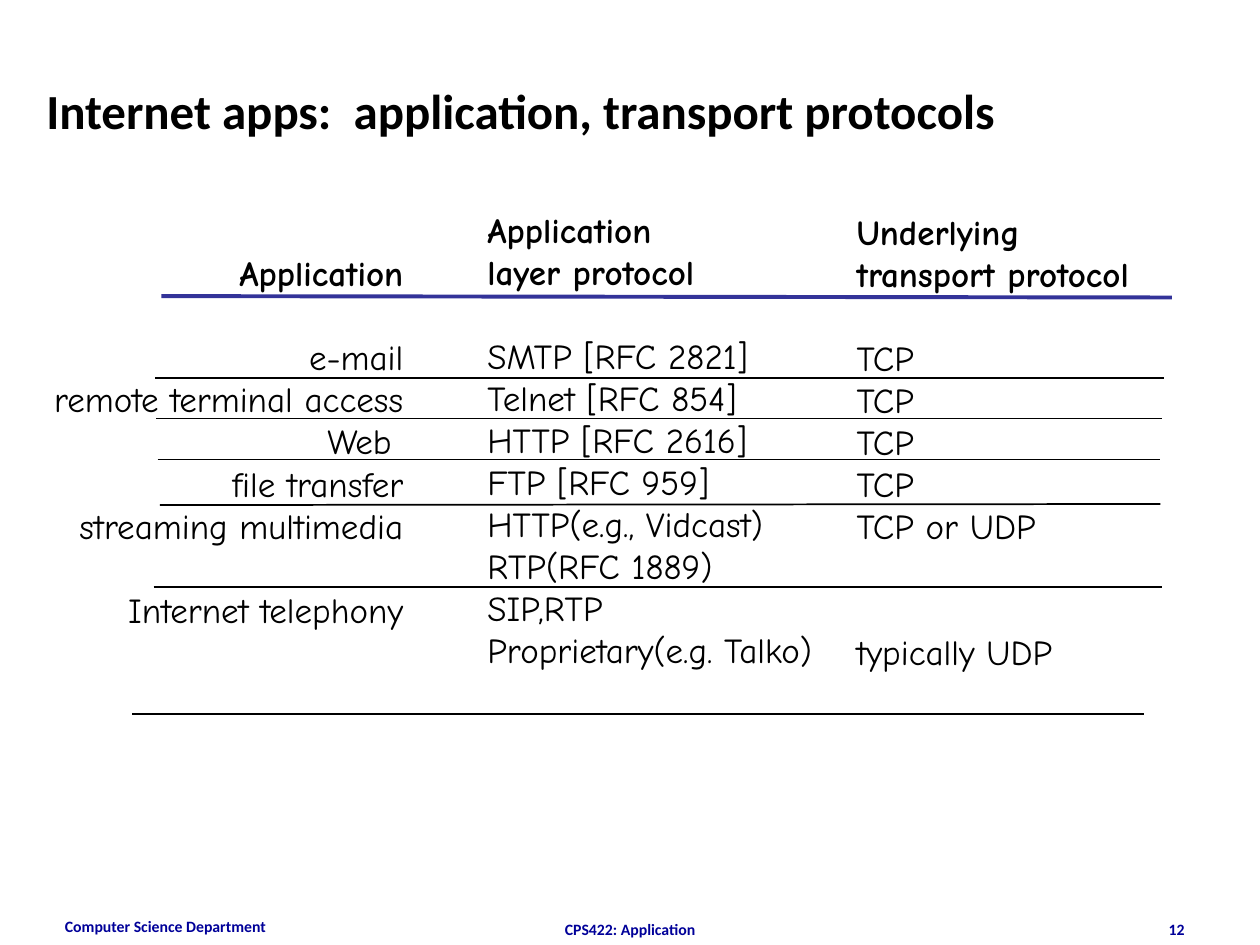
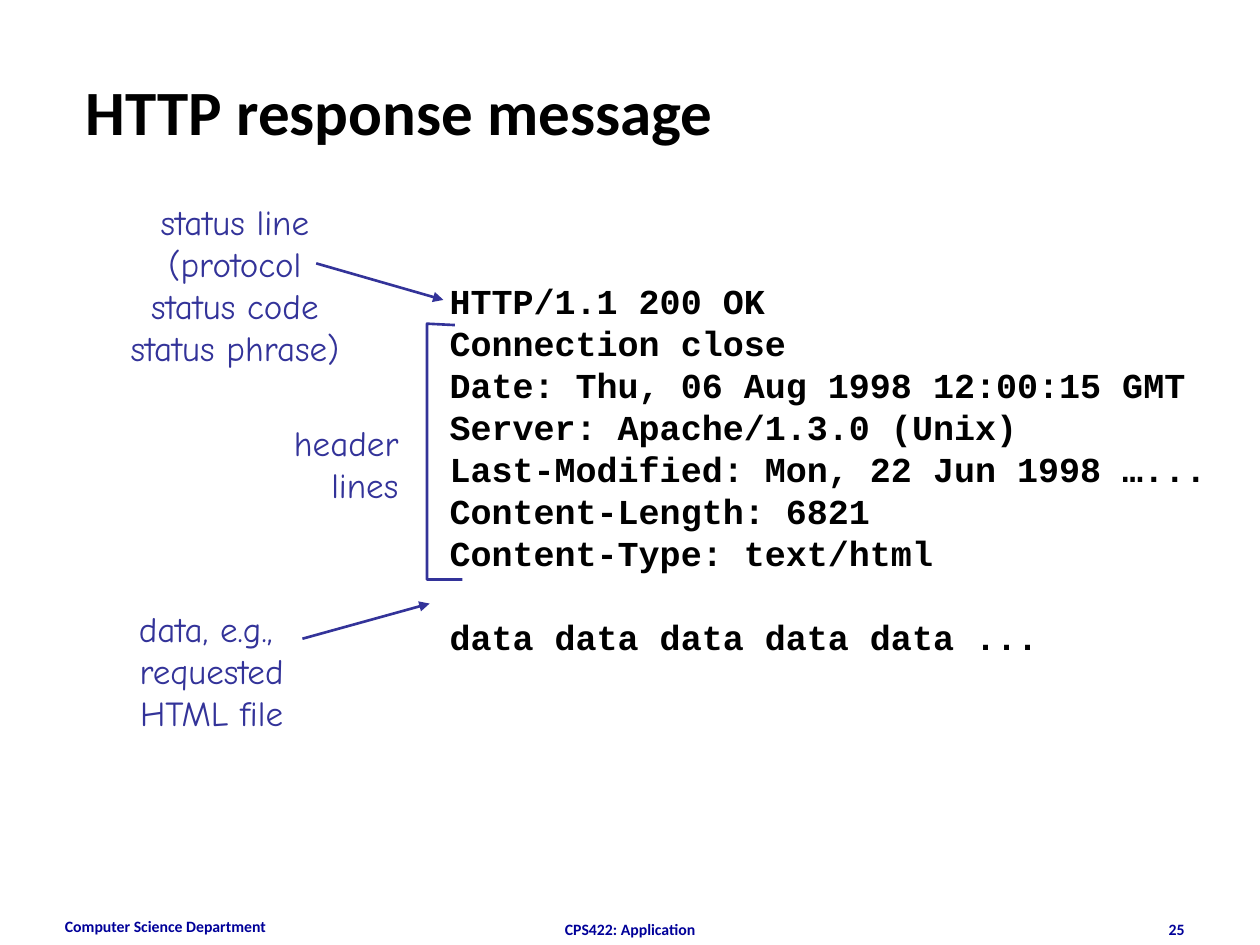
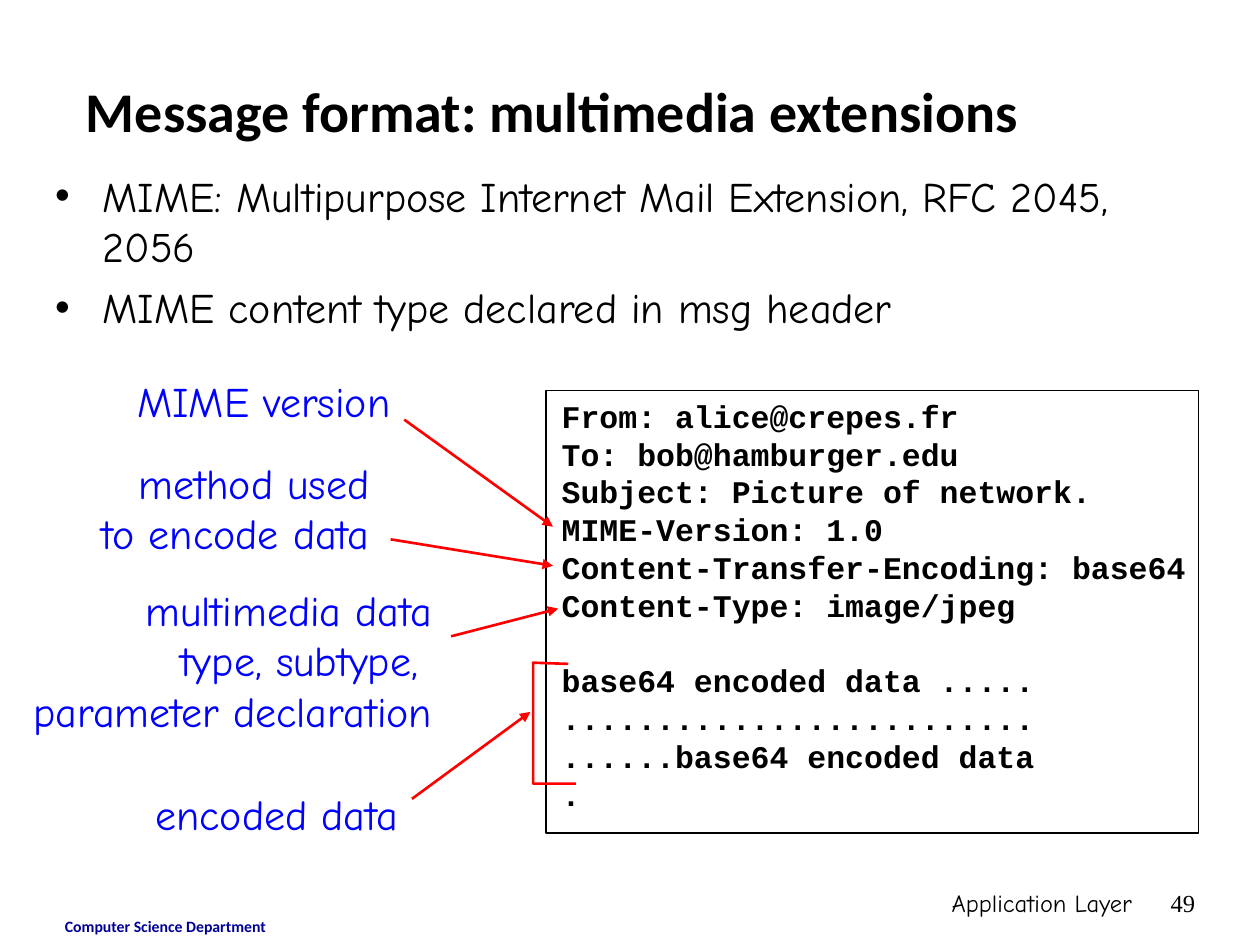
from dataclasses import dataclass, field
from typing import NamedTuple

from lxml import etree
from pptx import Presentation
from pptx import util as u
from pptx.dml import color
from pptx.enum import shapes, text
from pptx.oxml import ns

BLACK, NAVY, INDIGO, BLUE, RED = "000000", "000099", "333399", "0000FF", "FF0000"
SANS, COMIC, MONO, SERIF = "Calibri", "Comic Neue", "Courier New", "Times New Roman"
LEFT, CENTER, RIGHT = text.PP_ALIGN.LEFT, text.PP_ALIGN.CENTER, text.PP_ALIGN.RIGHT


class Style(NamedTuple):
    font: str
    size: float
    color: str = BLACK
    bold: bool = False


FOOTER = Style(SANS, 9, NAVY, True)
COLUMN = Style(COMIC, 20)
NOTE = Style(COMIC, 20, INDIGO)
CALLOUT = Style(COMIC, 24, BLUE)
BODY = Style(COMIC, 24)


@dataclass
class Block:
    left: float
    top: float
    width: float
    height: float
    lines: list[str]
    style: Style
    align: text.PP_ALIGN = LEFT
    headings: int = 0
    gaps: dict[int, float] = field(default_factory=dict)
    pitch: float | None = None
    wrap: bool = True
    middle: bool = False
    bullets: bool = False


class Rule(NamedTuple):
    x1: float
    y1: float
    x2: float
    y2: float
    color: str = BLACK
    weight: float = 1
    arrow: bool = False


def rgb(code: str) -> color.RGBColor:
    return color.RGBColor.from_string(code)


def apply(target: object, values: dict[str, object]) -> None:
    for name, value in values.items():
        setattr(target, name, value)


def add_bullet(paragraph) -> None:
    properties = paragraph._p.get_or_add_pPr()
    indent = u.Pt(27)
    properties.set("marL", str(indent))
    properties.set("indent", str(-indent))
    bullet_font = etree.SubElement(properties, ns.qn("a:buFont"))
    bullet_font.set("typeface", "Arial")
    bullet = etree.SubElement(properties, ns.qn("a:buChar"))
    bullet.set("char", "•")


def draw_block(slide, block: Block) -> None:
    box = slide.shapes.add_textbox(
        *(u.Pt(v) for v in (block.left, block.top, block.width, block.height))
    )
    frame = box.text_frame
    apply(frame, {
        "word_wrap": block.wrap,
        "vertical_anchor": text.MSO_ANCHOR.MIDDLE if block.middle else text.MSO_ANCHOR.TOP,
    })
    for index, line in enumerate(block.lines):
        paragraph = frame.paragraphs[0] if index == 0 else frame.add_paragraph()
        paragraph.alignment = block.align
        if index in block.gaps:
            paragraph.space_before = u.Pt(block.gaps[index])
        if block.pitch:
            paragraph.line_spacing = u.Pt(block.pitch)
        if block.bullets:
            add_bullet(paragraph)
        run = paragraph.add_run()
        run.text = line
        apply(run.font, {
            "name": block.style.font,
            "size": u.Pt(block.style.size),
            "bold": block.style.bold or index < block.headings,
        })
        run.font.color.rgb = rgb(block.style.color)


def style_line(line, code: str, weight: float) -> None:
    line.color.rgb = rgb(code)
    line.width = u.Pt(weight)


def draw_rule(slide, rule: Rule) -> None:
    connector = slide.shapes.add_connector(
        shapes.MSO_CONNECTOR.STRAIGHT, *(u.Pt(v) for v in rule[:4])
    )
    style_line(connector.line, rule.color, rule.weight)
    if rule.arrow:
        tail = etree.SubElement(connector.line._get_or_add_ln(), ns.qn("a:tailEnd"))
        tail.set("type", "triangle")
    etree.SubElement(connector._element.spPr, ns.qn("a:effectLst"))


def draw_bracket(slide, points: list[tuple[float, float]], code: str) -> None:
    start, *rest = [(u.Pt(x), u.Pt(y)) for x, y in points]
    builder = slide.shapes.build_freeform(*start)
    builder.add_line_segments(rest, close=False)
    bracket = builder.convert_to_shape()
    bracket.shadow.inherit = False
    bracket.fill.background()
    style_line(bracket.line, code, 1.5)


def start_slide(deck, title: str, size: float, left: float, width: float):
    slide = deck.slides.add_slide(deck.slide_layouts[6])
    draw_block(slide, Block(30, 520.5, 168, 19.5, ["Computer Science Department"], FOOTER))
    draw_block(slide, Block(left, 18, width, 90, [title],
                            Style(SANS, size, BLACK, True), middle=True))
    return slide


def add_course_footer(slide, number: int) -> None:
    draw_block(slide, Block(246, 522, 228, 7.2, ["CPS422: Application"], FOOTER, CENTER))
    draw_block(slide, Block(516, 522, 168, 7.2, [str(number)], FOOTER, RIGHT))


def build_protocols(deck) -> None:
    slide = start_slide(deck, "Internet apps:  application, transport protocols", 28, 19.4, 689)
    add_course_footer(slide, 12)
    row = 24
    columns = [
        Block(22.3, 140.4, 215.3, 248,
              ["Application", "e-mail", "remote terminal access", "Web ", "file transfer",
               "streaming multimedia", "Internet telephony"],
              COLUMN, RIGHT, 1, {1: row, 6: row}),
        Block(271.4, 115.5, 214, 271,
              ["Application", "layer protocol", "SMTP [RFC 2821]", "Telnet [RFC 854]",
               "HTTP [RFC 2616]", "FTP [RFC 959]", "HTTP(e.g., Vidcast)", "RTP(RFC 1889)",
               "SIP,RTP", "Proprietary(e.g. Talko)"],
              COLUMN, headings=2, gaps={2: row}),
        Block(482.4, 116.6, 206.6, 271,
              ["Underlying", "transport protocol", "TCP", "TCP", "TCP", "TCP",
               "TCP or UDP", "typically UDP"],
              COLUMN, headings=2, gaps={2: row, 7: 2 * row}),
    ]
    for column in columns:
        draw_block(slide, column)
    rules = [
        Rule(92.2, 169.2, 669.6, 170, INDIGO, 2.25),
        Rule(88.6, 216, 665.3, 216),
        Rule(89.3, 239.2, 663.8, 239.2),
        Rule(90, 262.6, 663.1, 262.6),
        Rule(91.4, 288.6, 663.1, 288),
        Rule(87.8, 335.4, 663.8, 335.4),
        Rule(75.6, 408.1, 653.8, 408.1),
    ]
    for rule in rules:
        draw_rule(slide, rule)


def build_response(deck) -> None:
    slide = start_slide(deck, "HTTP response message", 36, 42, 612)
    add_course_footer(slide, 25)
    draw_block(slide, Block(
        249.8, 156.2, 459.4, 223,
        ["HTTP/1.1 200 OK", "Connection close", "Date: Thu, 06 Aug 1998 12:00:15 GMT",
         "Server: Apache/1.3.0 (Unix)", "Last-Modified: Mon, 22 Jun 1998 …...",
         "Content-Length: 6821", "Content-Type: text/html", "data data data data data ..."],
        Style(MONO, 20, bold=True), gaps={7: 24}, pitch=24))
    notes = [
        Block(67, 110.9, 134.6, 103.7,
              ["status line", "(protocol", "status code", "status phrase)"],
              NOTE, CENTER, wrap=False),
        Block(160.6, 237.6, 74.2, 55.4, ["header", "lines"], NOTE, RIGHT, wrap=False),
        Block(72, 343.4, 97.9, 79.2, ["data, e.g., ", "requested", "HTML file"],
              NOTE, CENTER, wrap=False),
    ]
    for note in notes:
        draw_block(slide, note)
    for ends in [(180.7, 150.5, 253.4, 171.4), (172.8, 365, 245.5, 344.9)]:
        draw_rule(slide, Rule(*ends, INDIGO, 1.5, True))
    draw_bracket(slide, [(259.9, 185.8), (244, 185), (244, 331.2), (264.2, 331.2)], INDIGO)


def build_mime(deck) -> None:
    slide = start_slide(deck, "Message format: multimedia extensions", 32, 42, 660)
    draw_block(slide, Block(426, 504, 228, 36, ["Application Layer"], Style(COMIC, 14), RIGHT))
    draw_block(slide, Block(654, 504, 36, 36, ["49"], Style(SERIF, 14), RIGHT))
    draw_block(slide, Block(
        24.5, 93.6, 669.6, 386,
        ["MIME: Multipurpose Internet Mail Extension, RFC 2045, 2056",
         "MIME content type declared in msg header"],
        BODY, gaps={1: 6}, bullets=True))
    draw_block(slide, Block(
        313.9, 223.2, 391.7, 244.8,
        ["From: alice@crepes.fr", "To: bob@hamburger.edu", "Subject: Picture of network.",
         "MIME-Version: 1.0", "Content-Transfer-Encoding: base64", "Content-Type: image/jpeg",
         "base64 encoded data .....", ".........................",
         "......base64 encoded data", "."],
        Style(MONO, 18, bold=True), gaps={6: 21.6}, pitch=21.6))
    message = slide.shapes.add_shape(
        shapes.MSO_SHAPE.RECTANGLE, *(u.Pt(v) for v in (311.8, 223.2, 373, 252.7))
    )
    message.shadow.inherit = False
    message.fill.background()
    style_line(message.line, BLACK, 1)
    callouts = [
        Block(10, 330.5, 244, 93.6,
              ["multimedia data", "type, subtype, ", "parameter declaration"],
              CALLOUT, RIGHT, wrap=False),
        Block(49.7, 257.8, 168.5, 64.8, ["method used", "to encode data"],
              CALLOUT, RIGHT, wrap=False),
        Block(71.3, 211, 159, 36, ["MIME version"], CALLOUT, CENTER, wrap=False),
        Block(81.4, 447, 153.4, 36, ["encoded data"], CALLOUT, CENTER, wrap=False),
    ]
    for callout in callouts:
        draw_block(slide, callout)
    arrows = [
        (231, 239.8, 316, 301),
        (223.2, 308.2, 316, 323.3),
        (257.8, 363.6, 319, 347.8),
        (235.4, 456.5, 303.1, 406.8),
    ]
    for ends in arrows:
        draw_rule(slide, Rule(*ends, RED, 1.5, True))
    draw_bracket(slide, [(324.7, 379.4), (304.6, 378.7), (304.6, 447.8), (329, 447.8)], RED)


def main() -> None:
    deck = Presentation()
    apply(deck, {"slide_width": u.Pt(720), "slide_height": u.Pt(540)})
    for build in (build_protocols, build_response, build_mime):
        build(deck)
    deck.save("out.pptx")


if __name__ == "__main__":
    main()
